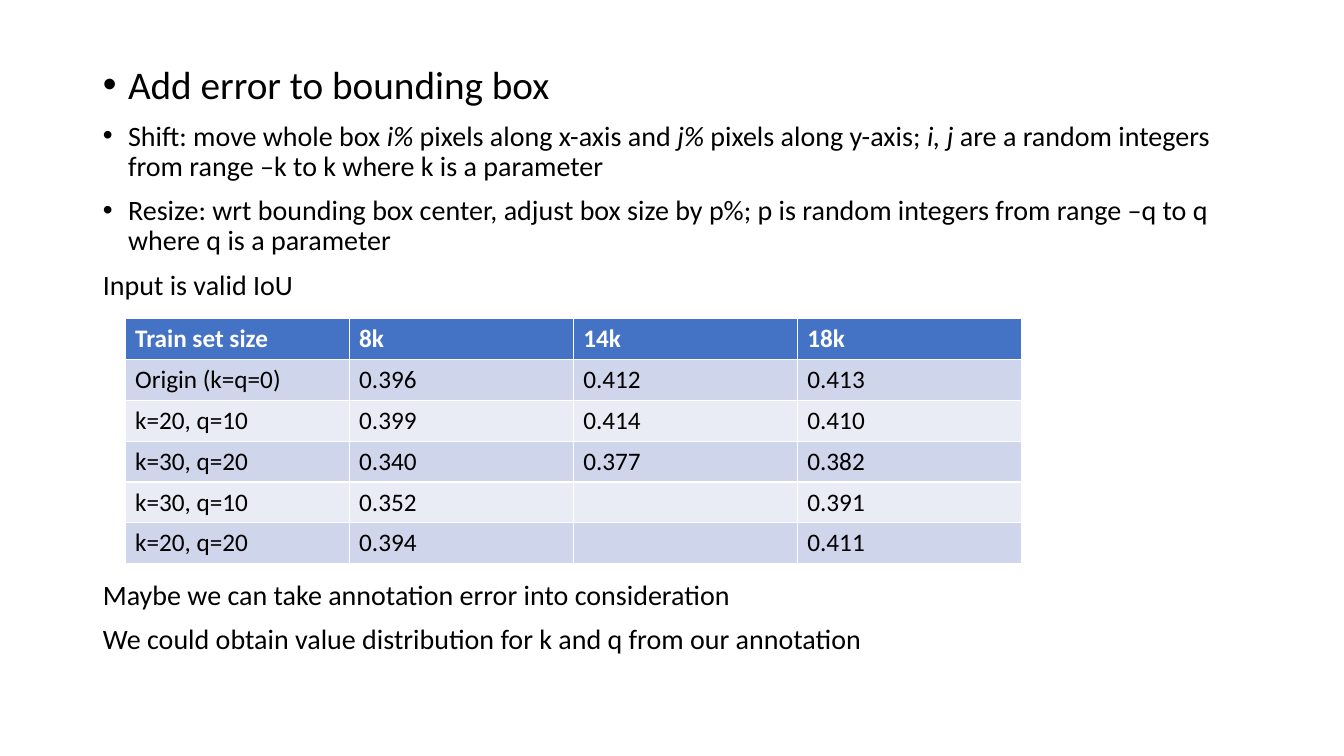
from dataclasses import dataclass

from lxml.etree import SubElement
from pptx import Presentation
from pptx.dml.color import RGBColor
from pptx.enum.text import MSO_ANCHOR, MSO_AUTO_SIZE
from pptx.oxml.ns import qn
from pptx.util import Inches, Pt


@dataclass(frozen=True)
class Theme:
    face: str = "Calibri"
    ink: RGBColor = RGBColor(0, 0, 0)
    paper: RGBColor = RGBColor(255, 255, 255)
    head: RGBColor = RGBColor(0x44, 0x72, 0xC4)
    bands: tuple = (RGBColor(0xCF, 0xD5, 0xEA), RGBColor(0xE9, 0xEB, 0xF5))
    lead: Pt = Pt(28)
    body: Pt = Pt(20)
    cell: Pt = Pt(18)
    gap: Pt = Pt(10)
    table_gap: Pt = Pt(200)


THEME = Theme()

# Each line: runs (odd ones italic), size, bulleted, space before
LINES = [
    (["Add error to bounding box"], THEME.lead, True, THEME.gap),
    (["Shift: move whole box ", "i%", " pixels along x-axis and ", "j%",
      " pixels along y-axis; ", "i, j ",
      "are a random integers from range –k to k where k is a parameter"],
     THEME.body, True, THEME.gap),
    (["Resize: wrt bounding box center, adjust box size by p%; "
      "p is random integers from range –q to q where q is a parameter"],
     THEME.body, True, THEME.gap),
    (["Input is valid IoU"], THEME.body, False, THEME.gap),
    (["Maybe we can take annotation error into consideration"],
     THEME.body, False, THEME.table_gap),
    (["We could obtain value distribution for k and q from our annotation"],
     THEME.body, False, THEME.gap),
]

SCORES = [
    ("Train set size", "8k", "14k", "18k"),
    ("Origin (k=q=0)", "0.396", "0.412", "0.413"),
    ("k=20, q=10", "0.399", "0.414", "0.410"),
    ("k=30, q=20", "0.340", "0.377", "0.382"),
    ("k=30, q=10", "0.352", "", "0.391"),
    ("k=20, q=20", "0.394", "", "0.411"),
]


def set_font(para, size, color, bold=False):
    font = para.font
    font.name, font.size, font.bold = THEME.face, size, bold
    font.color.rgb = color


def set_bullet(para, shown):
    """Give the paragraph a hanging bullet, or none and no indent."""
    props = para._p.get_or_add_pPr()
    indent = Inches(0.25) if shown else 0
    props.set("marL", str(indent))
    props.set("indent", str(-indent))
    if shown:
        SubElement(props, qn("a:buFont"), typeface="Arial")
        SubElement(props, qn("a:buChar"), char="•")
    else:
        SubElement(props, qn("a:buNone"))


def add_line(para, runs, size, bullet, before):
    set_bullet(para, bullet)
    set_font(para, size, THEME.ink)
    para.line_spacing = 0.9
    para.space_before = before
    for i, text in enumerate(runs):
        run = para.add_run()
        run.text = text
        if i % 2:
            run.font.italic = True


def fill_body(body):
    body.left, body.top = Inches(0.92), Inches(0.6)
    body.width, body.height = Inches(11.5), Inches(6.16)
    frame = body.text_frame
    frame.auto_size = MSO_AUTO_SIZE.NONE
    frame.vertical_anchor = MSO_ANCHOR.TOP
    for i, line in enumerate(LINES):
        para = frame.add_paragraph() if i else frame.paragraphs[0]
        add_line(para, *line)


def add_scores(slide):
    table = slide.shapes.add_table(
        len(SCORES), len(SCORES[0]), Inches(1.24), Inches(3.16),
        Inches(8.89), Inches(2.43)).table
    for r, row in enumerate(SCORES):
        fill = THEME.bands[(r - 1) % 2] if r else THEME.head
        color = THEME.ink if r else THEME.paper
        for c, text in enumerate(row):
            cell = table.cell(r, c)
            cell.fill.solid()
            cell.fill.fore_color.rgb = fill
            cell.text = text
            set_font(cell.text_frame.paragraphs[0], THEME.cell, color, r == 0)


def main():
    deck = Presentation()
    deck.slide_width, deck.slide_height = Inches(13.33), Inches(7.5)
    slide = deck.slides.add_slide(deck.slide_layouts[1])
    title = slide.shapes.title.element
    title.getparent().remove(title)
    fill_body(slide.placeholders[1])
    add_scores(slide)
    deck.save("out.pptx")


if __name__ == "__main__":
    main()
